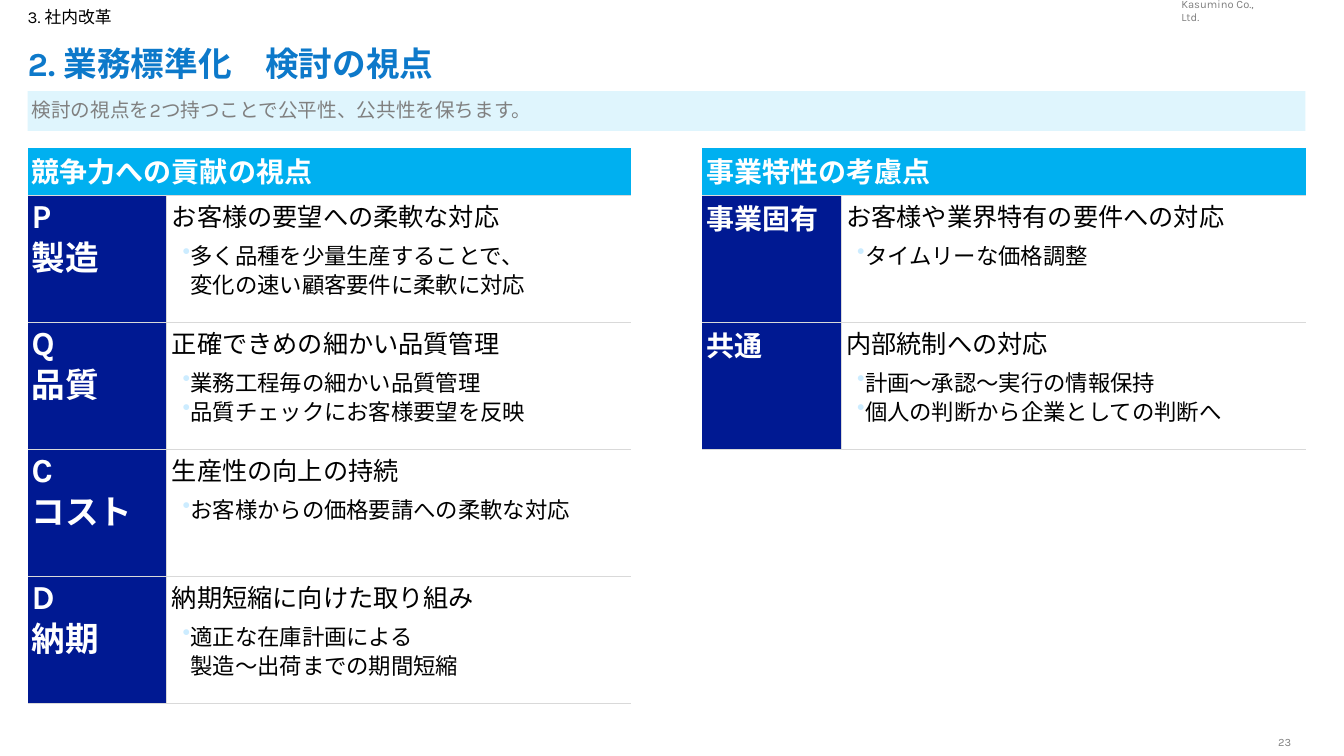
from copy import deepcopy
from dataclasses import dataclass

from lxml.etree import SubElement
from pptx import Presentation
from pptx.dml.color import RGBColor
from pptx.enum.lang import MSO_LANGUAGE_ID as Language
from pptx.enum.shapes import MSO_SHAPE as Shape
from pptx.enum.text import MSO_ANCHOR as Anchor, PP_ALIGN as Align
from pptx.oxml.ns import qn
from pptx.util import Cm, Pt


@dataclass(frozen=True)
class Theme:
    font: str = "Karla"
    black: str = "000000"
    white: str = "FFFFFF"
    gray: str = "808080"
    rule: str = "D9D9D9"
    title: str = "0D79CA"
    band: str = "DFF5FD"
    header: str = "00B0F0"
    label: str = "001992"
    bullet: str = "CCECFF"
    tiny: int = 8
    section: int = 12
    lead: int = 14
    detail: int = 16
    point: int = 18
    heading: int = 20
    large: int = 24


THEME = Theme()
PAD = 0.1

COMPETITIVENESS = [
    ("P\n製造", "お客様の要望への柔軟な対応",
     ["多く品種を少量生産することで、\v変化の速い顧客要件に柔軟に対応"]),
    ("Q\n品質", "正確できめの細かい品質管理",
     ["業務工程毎の細かい品質管理", "品質チェックにお客様要望を反映"]),
    ("C\nコスト", "生産性の向上の持続", ["お客様からの価格要請への柔軟な対応"]),
    ("D\n納期", "納期短縮に向けた取り組み",
     ["適正な在庫計画による\v製造～出荷までの期間短縮"]),
]
BUSINESS_TRAITS = [
    ("事業固有", "お客様や業界特有の要件への対応", ["タイムリーな価格調整"]),
    ("共通", "内部統制への対応",
     ["計画～承認～実行の情報保持", "個人の判断から企業としての判断へ"]),
]


def write(frame, text, size, color, bold=False, align=None, spacing=0.9,
          after=0, indent=0, bullet=False, first=True):
    """Write one paragraph per line; first=False adds to the existing text."""
    for line in text.split("\n"):
        para = frame.paragraphs[0] if first else frame.add_paragraph()
        first = False
        para.text = line
        para.alignment = align
        para.line_spacing = spacing
        para.space_after = Pt(after)
        props = para._p.get_or_add_pPr()
        props.set("marL", str(Cm(indent)))
        props.set("indent", str(Cm(-0.2 if bullet else 0)))
        if bullet:
            para.level = 1
            SubElement(SubElement(props, qn("a:buClr")), qn("a:srgbClr"), val=THEME.bullet)
            SubElement(props, qn("a:buChar"), char="•")
        for span in para.runs:
            span.font.name = THEME.font
            span.font.size = Pt(size)
            span.font.bold = bold
            span.font.color.rgb = RGBColor.from_string(color)
            span.font.language_id = Language.JAPANESE
        # Line breaks take the same size as the text around them
        for line_break in para._p.findall(qn("a:br")):
            line_break.append(deepcopy(para.runs[0]._r.rPr))


def set_frame(frame, side, end, anchor, wrap=True):
    frame.word_wrap = wrap
    frame.vertical_anchor = anchor
    frame.margin_left = frame.margin_right = Cm(side)
    frame.margin_top = frame.margin_bottom = Cm(end)


def add_text(page, box, text, size, color, end=0.13, anchor=Anchor.MIDDLE,
             wrap=True, **style):
    frame = page.shapes.add_textbox(*map(Cm, box)).text_frame
    set_frame(frame, 0, end, anchor, wrap)
    write(frame, text, size, color, **style)


def add_lead(page, box, text):
    band = page.shapes.add_shape(Shape.RECTANGLE, *map(Cm, box))
    band.shadow.inherit = False
    band.fill.solid()
    band.fill.fore_color.rgb = RGBColor.from_string(THEME.band)
    band.line.fill.background()
    set_frame(band.text_frame, PAD, 0.13, Anchor.MIDDLE)
    write(band.text_frame, text, THEME.lead, THEME.gray, align=Align.LEFT)


def style_cell(cell, fill=None, ruled=""):
    """Fill a cell and rule the named sides (L, R, T, B); the rest stay bare."""
    cell.margin_left = cell.margin_right = Cm(PAD)
    cell.margin_top = cell.margin_bottom = Cm(0.13)
    props = cell._tc.get_or_add_tcPr()
    for side in "LRTB":
        line = SubElement(props, qn(f"a:ln{side}"), w=str(Pt(0.96)))
        if side in ruled:
            paint = SubElement(line, qn("a:solidFill"))
            SubElement(paint, qn("a:srgbClr"), val=THEME.rule)
        else:
            SubElement(line, qn("a:noFill"))
    if fill:
        cell.fill.solid()
        cell.fill.fore_color.rgb = RGBColor.from_string(fill)
    else:
        cell.fill.background()


def add_viewpoints(page, left, top, heading, rows, label_size):
    widths = (3.5, 11.7)
    heights = [1.2] + [3.2] * len(rows)
    table = page.shapes.add_table(
        len(heights), len(widths), Cm(left), Cm(top),
        Cm(sum(widths)), Cm(sum(heights))).table
    for column, width in zip(table.columns, widths):
        column.width = Cm(width)
    for row, height in zip(table.rows, heights):
        row.height = Cm(height)

    # Heading across both columns
    title = table.cell(0, 0)
    title.merge(table.cell(0, 1))
    style_cell(title, THEME.header, "B")
    write(title.text_frame, heading, THEME.heading, THEME.white, bold=True)

    # Label, point and details
    for number, (label, point, details) in enumerate(rows, 1):
        name, body = table.cell(number, 0), table.cell(number, 1)
        style_cell(name, THEME.label, "TB")
        write(name.text_frame, label, label_size, THEME.white, bold=True)
        style_cell(body, ruled="LTB")
        write(body.text_frame, point, THEME.point, THEME.black, after=6, indent=0.03)
        for detail in details:
            write(body.text_frame, detail, THEME.detail, THEME.black,
                  indent=0.5, bullet=True, first=False)


def build_page(deck):
    page = deck.slides.add_slide(deck.slide_layouts[6])
    left, width, top = 0.7, 32.2, 3.72

    # Company name and page number
    add_text(page, (29.77, 0.1, 2.3, 0.33), "Kasumino Co., Ltd.", THEME.tiny,
             THEME.gray, end=0, wrap=False, spacing=1)
    add_text(page, (31.83, 18.52, 1.1, 0.35), "23", THEME.tiny, THEME.gray,
             end=0, anchor=Anchor.TOP, align=Align.CENTER, spacing=1)

    # Section, title and lead
    add_lead(page, (left, 2.3, width, 1), "検討の視点を2つ持つことで公平性、公共性を保ちます。")
    add_text(page, (left, 0.1, 16.2, 0.69), "3. 社内改革", THEME.section, THEME.black)
    add_text(page, (left, 0.9, width, 1.5), "2. 業務標準化　検討の視点",
             THEME.large, THEME.title, bold=True)

    # Two sets of viewpoints
    add_viewpoints(page, left, top, "競争力への貢献の視点", COMPETITIVENESS, THEME.large)
    add_viewpoints(page, 17.7, top, "事業特性の考慮点", BUSINESS_TRAITS, THEME.heading)


def main():
    deck = Presentation()
    deck.slide_width, deck.slide_height = Cm(33.87), Cm(19.05)
    build_page(deck)
    deck.save("out.pptx")


if __name__ == "__main__":
    main()
